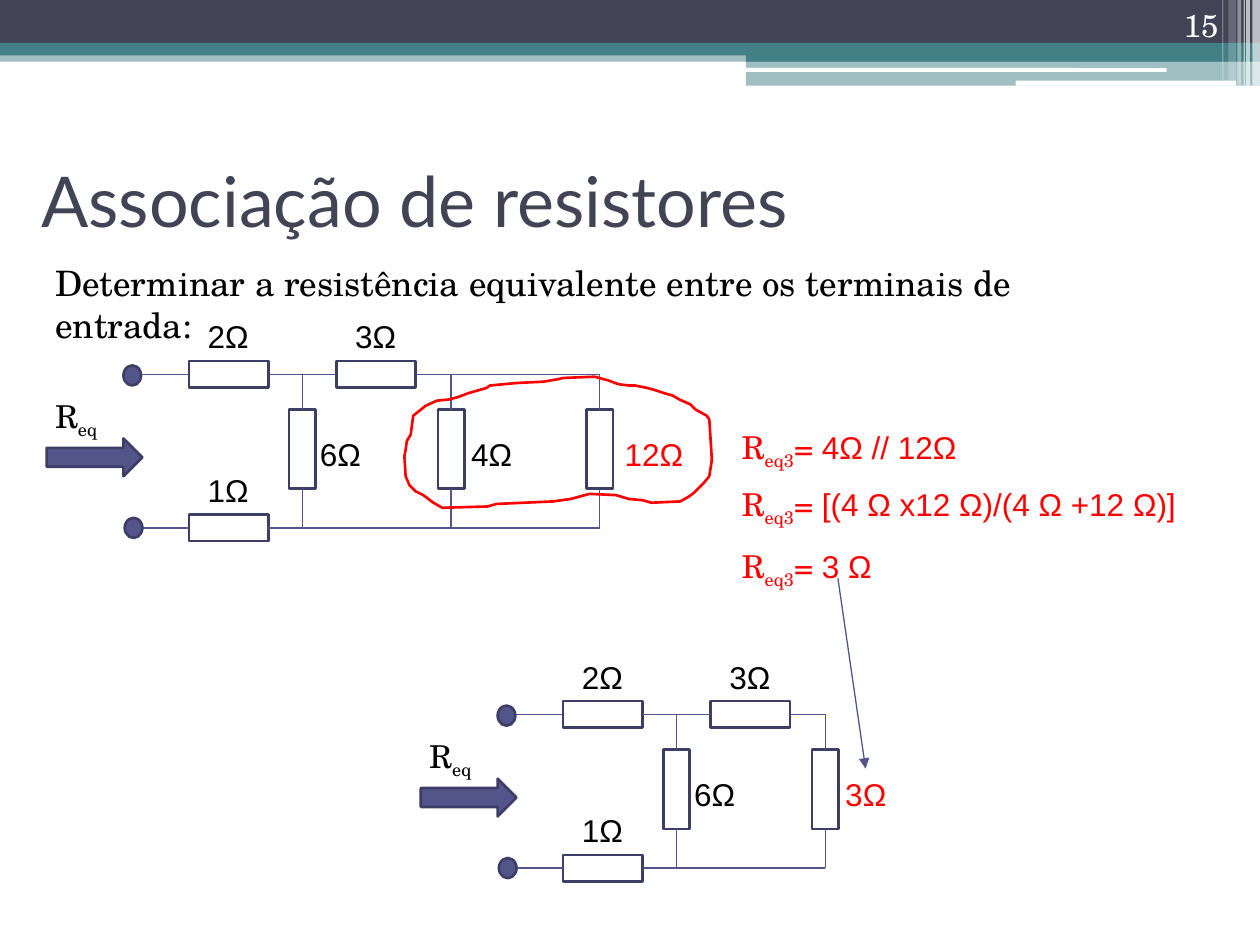
from pptx import Presentation
from pptx.util import Inches, Pt
from pptx.dml.color import RGBColor
from pptx.enum.shapes import MSO_SHAPE, MSO_CONNECTOR
from pptx.enum.text import MSO_ANCHOR, PP_ALIGN
from pptx.oxml.ns import qn
from lxml.etree import SubElement

HEX = {"dark": "424456", "teal": "438086", "white": "FFFFFF", "black": "000000",
       "red": "FF0000", "wire": "53548A", "edge": "3D3E66"}
SERIF, SANS, HEAD = "TeX Gyre Schola", "Arial", "Lato"

# Header bands: left, top, width, height, colour, opacity
BANDS = [
    (0, 0.4, 10, 0.09, "teal", 50), (0, 0, 10, 0.34, "dark", 100),
    (0, 0.34, 10, 0.1, "teal", 100), (5.92, 0.39, 4.08, 0.1, "teal", 100),
    (5.92, 0.48, 4.08, 0.2, "teal", 50)]
PILLS = [(5.91, 0.54, 3.35, 0.03), (8.06, 0.64, 1.75, 0.04)]
# Stripes: left, width, height, opacity
STRIPES = [(9.94, 0.06, 0.68, 65), (9.89, 0.03, 0.68, 65), (9.87, 0.01, 0.68, 60),
           (9.82, 0.03, 0.68, 40), (9.75, 0.06, 0.64, 20), (9.7, 0.01, 0.64, 30)]

# Circuits: origin, then upright resistors as label, label offset, colour
NETS = [
    ((1.09, 2.97), [("6Ω", 1.35, "black"), ("4Ω", 2.55, "black"), ("12Ω", 3.77, "red")]),
    ((4.06, 5.67), [("6Ω", 1.35, "black"), ("3Ω", 2.55, "red")])]
# Flat resistors: label, left, wire height, relative to the origin
FLAT = [("2Ω", 0.41, 0), ("3Ω", 1.58, 0), ("1Ω", 0.41, 1.22)]
LONG, THIN, DROP, PITCH = 0.63, 0.21, 0.28, 1.18

STEPS = [("4Ω // 12Ω", 3.35), ("[(4 Ω x12 Ω)/(4 Ω +12 Ω)]", 3.8), ("3 Ω", 4.29)]
# Outline drawn by hand round the two parallel resistors
LOOP = [
    (4.99, 3.06), (4.91, 3.05), (4.83, 3.02), (4.72, 2.99), (4.47, 3), (4.43, 3.01),
    (4.31, 3.03), (4.1, 3.04), (3.89, 3.06), (3.86, 3.08), (3.79, 3.1), (3.72, 3.12),
    (3.64, 3.15), (3.57, 3.17), (3.47, 3.18), (3.38, 3.22), (3.28, 3.3), (3.26, 3.45),
    (3.23, 3.5), (3.22, 3.57), (3.21, 3.62), (3.22, 3.78), (3.25, 3.85), (3.3, 3.9),
    (3.36, 3.93), (3.44, 3.99), (3.51, 4.03), (3.87, 4.02), (3.94, 4), (4.39, 3.98),
    (4.53, 3.96), (4.68, 3.92), (4.89, 3.93), (4.99, 3.96), (5.1, 3.97), (5.17, 3.99),
    (5.4, 3.98), (5.47, 3.94), (5.51, 3.91), (5.58, 3.84), (5.63, 3.78), (5.65, 3.65),
    (5.63, 3.33), (5.61, 3.3), (5.52, 3.25), (5.48, 3.21), (5.39, 3.17), (5.34, 3.14),
    (5.27, 3.12), (5.21, 3.1), (5.14, 3.08), (5.04, 3.06)]

deck = Presentation()
deck.slide_width, deck.slide_height = Inches(10), Inches(7.5)
page = deck.slides.add_slide(deck.slide_layouts[6])
art = page.shapes


def color(name):
    return RGBColor.from_string(HEX[name])


def paint(part, fill=None, line=None, alpha=100):
    part.shadow.inherit = False
    if fill:
        part.fill.solid()
        part.fill.fore_color.rgb = color(fill)
        if alpha < 100:
            tone = part.fill._xPr.find(qn("a:solidFill"))[0]
            SubElement(tone, qn("a:alpha"), val=str(alpha * 1000))
    else:
        part.fill.background()
    if line:
        part.line.color.rgb = color(line)
        part.line.width = Pt(1.5)
    else:
        part.line.fill.background()


def shape(kind, box, fill=None, line=None, alpha=100):
    part = art.add_shape(kind, *map(Inches, box))
    paint(part, fill, line, alpha)
    return part


def text(box, runs, tint="black", size=18, anchor=MSO_ANCHOR.TOP, align=PP_ALIGN.LEFT):
    """Each run is its words, its font and whether it is a subscript."""
    frame = art.add_textbox(*map(Inches, box)).text_frame
    frame.word_wrap, frame.vertical_anchor = True, anchor
    par = frame.paragraphs[0]
    par.alignment = align
    for words, face, sub in runs:
        run = par.add_run()
        run.text = words
        form = {"name": face, "size": Pt(size)}
        for key, val in form.items():
            setattr(run.font, key, val)
        run.font.color.rgb = color(tint)
        if sub:
            run.font._element.set("baseline", "-25000")


def wire(x1, y1, x2, y2, start=None, end=None):
    link = art.add_connector(MSO_CONNECTOR.STRAIGHT, *map(Inches, (x1, y1, x2, y2)))
    link.line.color.rgb = color("wire")
    link.line.width = Pt(0.75)
    SubElement(link._element.spPr, qn("a:effectLst"))
    if start:
        link.begin_connect(*start)
    if end:
        link.end_connect(*end)
    return link


def label(x, y, words, tint="black"):
    text((x, y, 0.7 if len(words) > 2 else 0.55, 0.4), [(words, SANS, False)], tint)


def net(x, y, posts):
    low = y + 1.22
    last = x + 1.31 + PITCH * (len(posts) - 1)
    # Flat resistors
    flat = []
    for words, dx, dy in FLAT:
        box = (x + dx, y + dy - THIN / 2, LONG, THIN)
        flat.append(shape(MSO_SHAPE.RECTANGLE, box, line="edge"))
        label(x + dx + 0.05, y + dy - 0.5, words)
    two, three, one = flat
    # Rails
    wire(x, y, x + 0.41, y, end=(two, 1))
    wire(x + 1.04, y, x + 1.58, y, (two, 3), (three, 1))
    wire(x + 2.21, y, last, y, (three, 3))
    wire(x, low, x + 0.41, low, end=(one, 1))
    wire(x + 1.04, low, last, low, (one, 3))
    # Upright resistors
    for i, (words, dx, tint) in enumerate(posts):
        mid, top = x + 1.31 + PITCH * i, y + DROP
        post = shape(MSO_SHAPE.RECTANGLE, (mid - THIN / 2, top, THIN, LONG), line="edge")
        wire(mid, y, mid, top, end=(post, 0))
        wire(mid, top + LONG, mid, low, (post, 2))
        label(x + dx, y + 0.43, words, tint)
    # Terminals and input arrow
    for dx, dy in [(-0.11, -0.07), (-0.1, 1.14)]:
        shape(MSO_SHAPE.OVAL, (x + dx, y + dy, 0.14, 0.16), "wire", "edge")
    shape(MSO_SHAPE.RIGHT_ARROW, (x - 0.72, y + 0.51, 0.76, 0.3), "wire", "edge")
    text((x - 0.75, y + 0.13, 0.65, 0.4), [("R", SERIF, False), ("eq", SERIF, True)])


# Header
for *box, fill, alpha in BANDS:
    shape(MSO_SHAPE.RECTANGLE, box, fill, alpha=alpha)
for box in PILLS:
    shape(MSO_SHAPE.ROUNDED_RECTANGLE, box, "white")
for left, wide, high, alpha in STRIPES:
    shape(MSO_SHAPE.RECTANGLE, (left, 0, wide, high), "white", alpha=alpha)
text((8.94, 0, 0.83, 0.4), [("15", SERIF, False)], "white",
     anchor=MSO_ANCHOR.BOTTOM, align=PP_ALIGN.RIGHT)

# Title and task
text((0.23, 1.04, 8.62, 1.09), [("Associação de resistores", HEAD, False)],
     "dark", 40, MSO_ANCHOR.MIDDLE)
text((0.34, 2.03, 8.54, 0.44),
     [("Determinar a resistência equivalente entre os terminais de entrada:", SERIF, False)],
     size=20)

# Circuits
for (x, y), posts in NETS:
    net(x, y, posts)

# Loop round the parallel pair
pen = art.build_freeform(*map(Inches, LOOP[0]), scale=1.0)
pen.add_line_segments([(Inches(x), Inches(y)) for x, y in LOOP[1:]], close=True)
paint(pen.convert_to_shape(), line="red")

# Calculation and pointer to the result
for words, top in STEPS:
    text((5.79, top, 3.75, 0.4), [("R", SERIF, False), ("eq3", SERIF, True),
                                  ("= ", SERIF, False), (words, SANS, False)], "red")
hint = wire(6.65, 4.59, 6.87, 6.1)
SubElement(hint.line._get_or_add_ln(), qn("a:tailEnd"), type="triangle")

deck.save("out.pptx")
